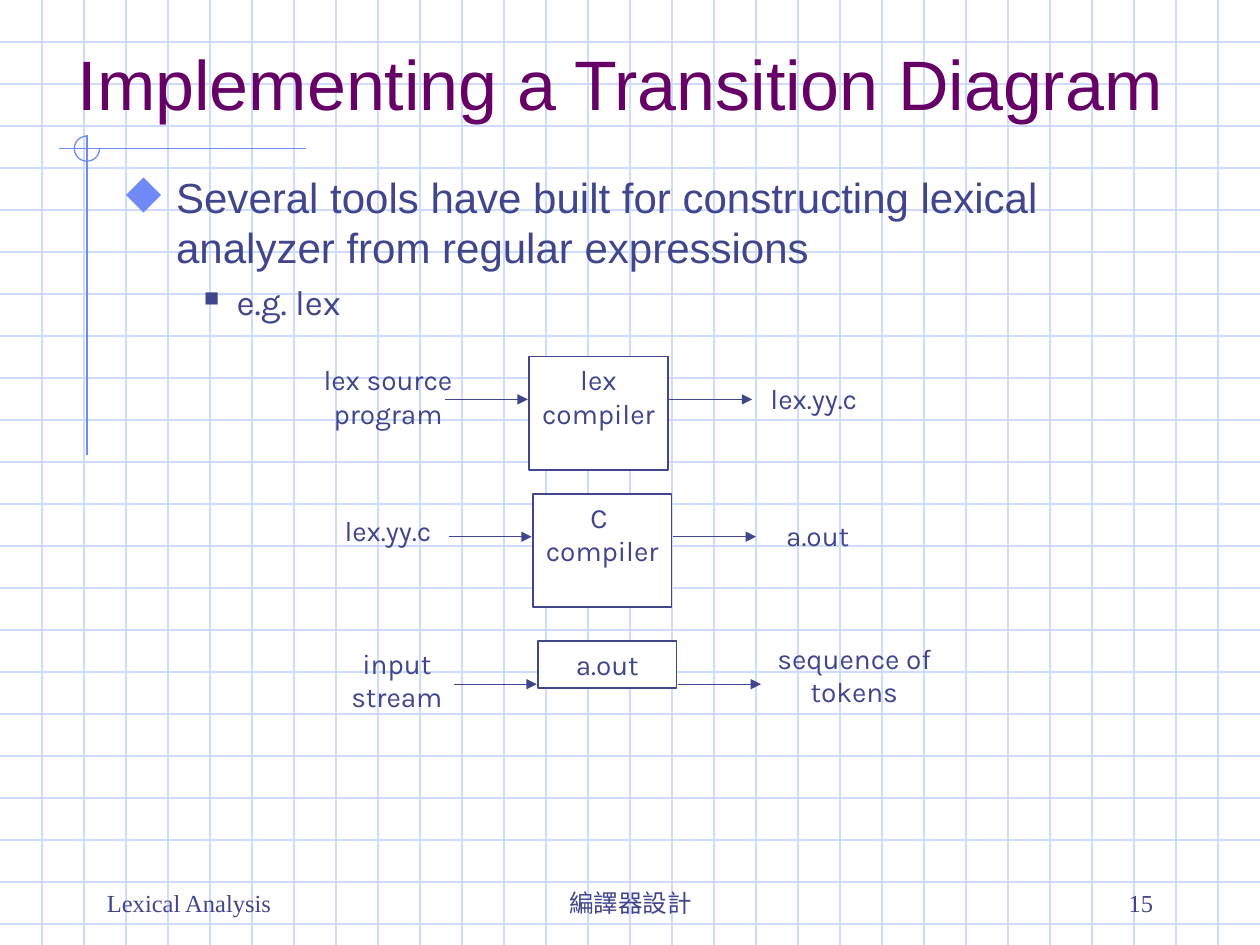
from lxml import etree
from pptx import Presentation
from pptx.dml.color import RGBColor
from pptx.enum.shapes import MSO_CONNECTOR, MSO_SHAPE
from pptx.enum.text import MSO_ANCHOR, PP_ALIGN
from pptx.oxml.ns import qn
from pptx.util import Inches, Pt

STRAIGHT = MSO_CONNECTOR.STRAIGHT
RECTANGLE, ARC = MSO_SHAPE.RECTANGLE, MSO_SHAPE.ARC
TOP, BOTTOM = MSO_ANCHOR.TOP, MSO_ANCHOR.BOTTOM
LEFT, CENTER, RIGHT = PP_ALIGN.LEFT, PP_ALIGN.CENTER, PP_ALIGN.RIGHT

WHITE = RGBColor(0xFF, 0xFF, 0xFF)
GRID = RGBColor(0xCF, 0xDB, 0xFD)
ACCENT = RGBColor(0x6F, 0x89, 0xF7)
INK = RGBColor(0x40, 0x45, 0x8C)
PLUM = RGBColor(0x66, 0x00, 0x66)

PAGE_WIDTH, PAGE_HEIGHT = 10, 7.5
GRID_STEP = 1 / 3

# Block box, block lines, input label and its box, output label and its box.
STAGES = [
    ((4.2, 2.83, 1.1, 0.9), ["lex", "compiler"],
     "lex source program", (2.28, 2.83, 1.6, 0.63),
     "lex.yy.c", (5.66, 2.98, 1.6, 0.37)),
    ((4.23, 3.92, 1.1, 0.9), ["C ", "compiler"],
     "lex.yy.c", (2.28, 4.03, 1.6, 0.37),
     "a.out", (5.69, 4.07, 1.6, 0.37)),
    ((4.27, 5.09, 1.1, 0.37), ["a.out"],
     "input stream", (2.48, 5.08, 1.34, 0.63),
     "sequence of tokens", (5.98, 5.04, 1.6, 0.63)),
]

FOOTERS = [
    ("Lexical Analysis", (0.75, 6.83, 2.08, 0.5), LEFT),
    ("編譯器設計", (3.42, 6.83, 3.17, 0.5), CENTER),
    ("15", (7.17, 6.83, 2.08, 0.5), RIGHT),
]


def inches(box):
    return [Inches(length) for length in box]


def add_line(page, start, end, color, arrow=False):
    line = page.shapes.add_connector(STRAIGHT, *inches(start + end))
    line.line.color.rgb = color
    line.line.width = Pt(0.75)
    if arrow:
        outline = line.line._get_or_add_ln()
        etree.SubElement(outline, qn("a:tailEnd"), type="triangle")
    etree.SubElement(line._element.spPr, qn("a:effectLst"))


def write(frame, lines, font, size, color, align=LEFT, anchor=TOP):
    frame.word_wrap = True
    frame.vertical_anchor = anchor
    for index, text in enumerate(lines):
        para = frame.paragraphs[0] if index == 0 else frame.add_paragraph()
        para.text = text
        para.alignment = align
        style(para, font, size, color)


def style(para, font, size, color):
    para.font.name = font
    para.font.size = Pt(size)
    para.font.color.rgb = color


def add_text(page, box, text, *look):
    frame = page.shapes.add_textbox(*inches(box)).text_frame
    write(frame, [text], *look)


def add_bullet(para, char, color, percent, margin, hanging):
    props = para._p.get_or_add_pPr()
    props.set("marL", str(Inches(margin)))
    props.set("indent", str(-Inches(hanging)))
    tint = etree.SubElement(props, qn("a:buClr"))
    etree.SubElement(tint, qn("a:srgbClr"), val=str(color))
    etree.SubElement(props, qn("a:buSzPct"), val=str(percent * 1000))
    etree.SubElement(props, qn("a:buChar"), char=char)


def add_grid(page, width, height):
    for row in range(1, int(height / GRID_STEP) + 1):
        y = row * GRID_STEP
        add_line(page, (0, y), (width, y), GRID)
    for column in range(1, int(width / GRID_STEP)):
        x = column * GRID_STEP
        add_line(page, (x, 0), (x, height), GRID)


def add_corner_ornament(page, x, y):
    """Draw crossing rules with a three-quarter circle around (x, y)."""
    radius = 0.1
    add_line(page, (x - 0.22, y), (x + 1.74, y), ACCENT)
    add_line(page, (x, y - 0.11), (x, y + 2.43), ACCENT)
    arc = page.shapes.add_shape(
        ARC, *inches((x - radius, y - radius, 2 * radius, 2 * radius)))
    arc.adjustments[0] = 0
    arc.adjustments[1] = 162  # 270 degrees
    arc.shadow.inherit = False
    arc.fill.background()
    arc.line.color.rgb = ACCENT
    arc.line.width = Pt(0.75)


def add_body(page, box):
    frame = page.shapes.add_textbox(*inches(box)).text_frame
    write(frame, ["Several tools have built for constructing lexical "
                  "analyzer from regular expressions", "e.g. lex"],
          "Arial", 24, INK)
    point, example = frame.paragraphs
    point.space_before = Pt(6)
    add_bullet(point, "◆", ACCENT, 110, 0.4, 0.4)
    example.level = 1
    example.space_before = Pt(5)
    style(example, "Karla", 20, INK)
    add_bullet(example, "■", INK, 60, 0.88, 0.26)


def add_stage(page, box, lines, source, source_box, result, result_box):
    left, top, width, height = box
    right, arrow_y = left + width, top + 0.34
    add_line(page, (left - 0.67, arrow_y), (left - 0.01, arrow_y), INK, True)
    add_line(page, (right + 0.01, arrow_y), (right + 0.67, arrow_y), INK, True)

    block = page.shapes.add_shape(RECTANGLE, *inches(box))
    block.shadow.inherit = False
    block.fill.solid()
    block.fill.fore_color.rgb = WHITE
    block.line.color.rgb = INK
    block.line.width = Pt(1)
    block.text_frame.margin_left = block.text_frame.margin_right = Inches(0.05)
    write(block.text_frame, lines, "Karla", 16, INK, CENTER)

    add_text(page, source_box, source, "Karla", 16, INK, CENTER)
    add_text(page, result_box, result, "Karla", 16, INK, CENTER)


def main():
    deck = Presentation()
    deck.slide_width, deck.slide_height = inches((PAGE_WIDTH, PAGE_HEIGHT))
    page = deck.slides.add_slide(deck.slide_layouts[6])
    page.background.fill.solid()
    page.background.fill.fore_color.rgb = WHITE

    add_line(page, (9.67, 0), (9.67, 2.58), ACCENT)
    add_grid(page, PAGE_WIDTH, PAGE_HEIGHT)
    add_corner_ornament(page, 0.69, 1.18)
    add_text(page, (0.52, 0.33, 9.04, 0.71),
             "Implementing a Transition Diagram",
             "Arial", 40, PLUM, LEFT, BOTTOM)
    add_body(page, (0.9, 1.31, 8.5, 5.5))
    for stage in STAGES:
        add_stage(page, *stage)
    for text, box, align in FOOTERS:
        add_text(page, box, text, "Times New Roman", 14, INK, align, BOTTOM)
    deck.save("out.pptx")


if __name__ == "__main__":
    main()
